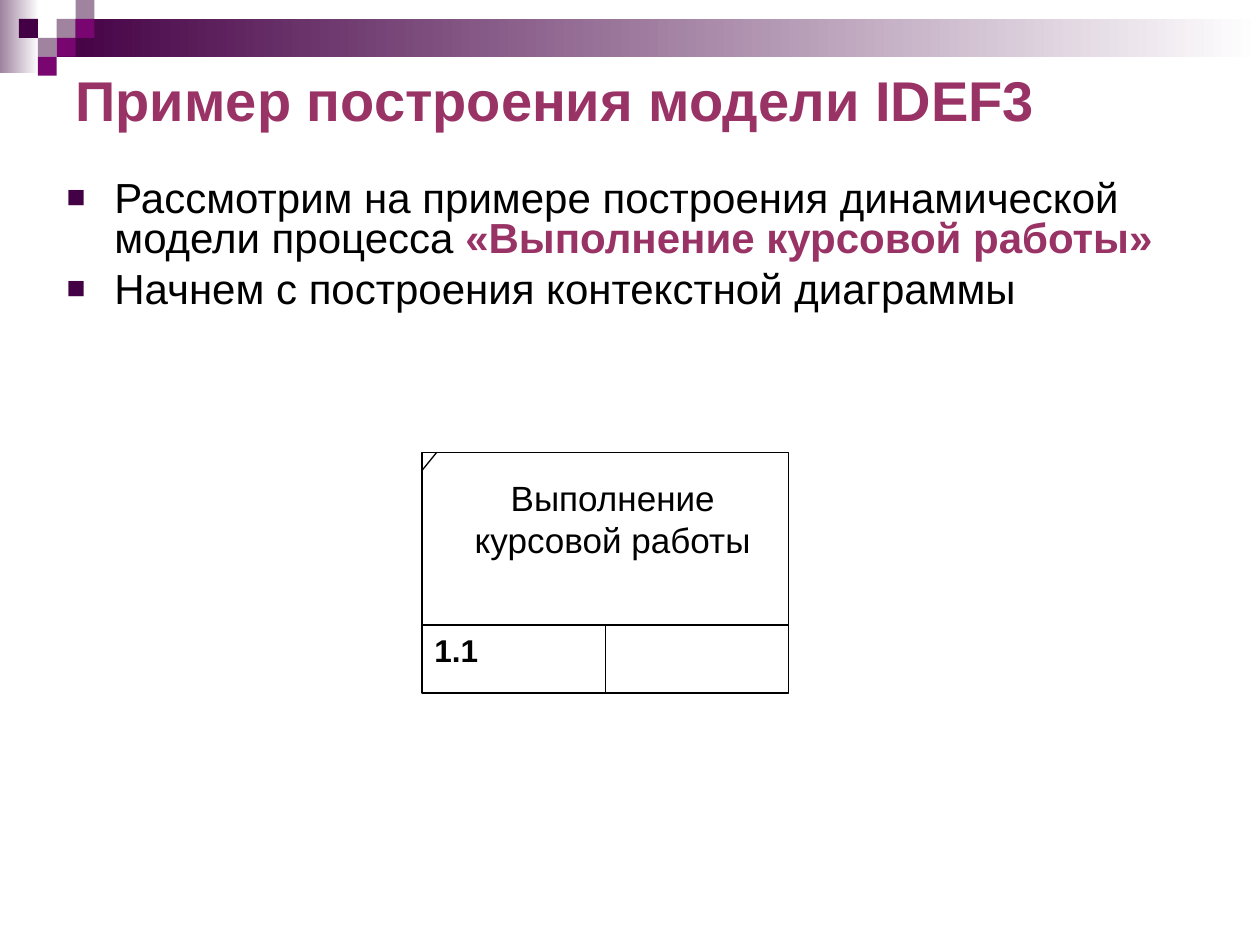
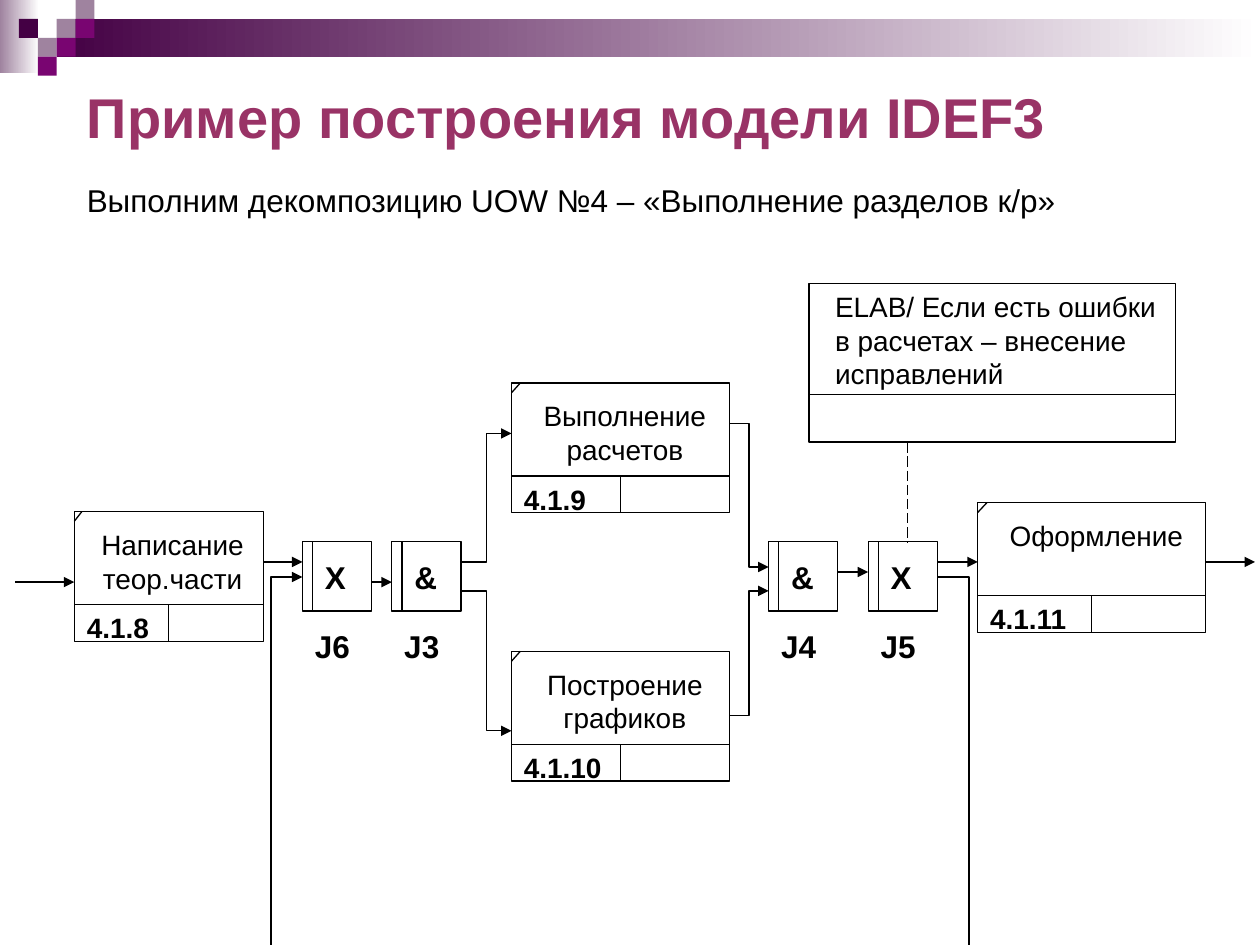
from dataclasses import dataclass
from typing import NamedTuple

from lxml import etree
from pptx import Presentation
from pptx import slide as sl
from pptx import util as u
from pptx.dml.color import RGBColor
from pptx.enum import dml, shapes, text
from pptx.oxml.ns import qn

COLUMNS, ROWS = 100, 75
WIDTH, HEIGHT = u.Inches(10), u.Inches(7.5)


@dataclass(frozen=True)
class Theme:
    font: str = "Arial"
    ink: str = "000000"
    accent: str = "993366"
    dark: str = "440044"
    bright: str = "790571"
    pale: str = "9F839F"
    paper: str = "FFFFFF"
    title: int = 32
    body: int = 24
    large: int = 20
    label: int = 18
    small: int = 16
    rule: float = 0.75


THEME = Theme()


class Point(NamedTuple):
    col: float
    row: float


class Area(NamedTuple):
    col: float
    row: float
    cols: float
    rows: float


class Span(NamedTuple):
    words: str
    size: int
    color: str = THEME.ink
    bold: bool = False


class Tile(NamedTuple):
    col: int
    row: int
    color: str


class Band(NamedTuple):
    area: Area
    color: str


class Work(NamedTuple):
    area: Area
    name: str
    lines: int
    number: str
    name_size: int = THEME.small
    number_size: int = THEME.small


class Junction(NamedTuple):
    col: float
    sign: str
    name: str


class Elbow(NamedTuple):
    start: Point
    end: Point
    bend: float = 0.5
    arrow: bool = True


TILE = 1.5
BANDS = [
    Band(Area(0, 0, 3.1, 5.8), THEME.pale),
    Band(Area(4.5, 1.5, 95.5, 3), THEME.dark),
]
TILES = [
    Tile(3, 1, THEME.pale), Tile(4, 0, THEME.pale), Tile(4, 1, THEME.bright),
    Tile(2, 2, THEME.pale), Tile(1, 1, THEME.dark), Tile(3, 2, THEME.bright),
    Tile(2, 3, THEME.bright),
]

TITLE = "Пример построения модели IDEF3"
CONTEXT = Work(Area(33.5, 35.9, 29.1, 19.1), "Выполнение курсовой работы", 2, "1.1",
               THEME.large, THEME.label)
INTRO = [
    [Span("Рассмотрим на примере построения динамической модели процесса ", THEME.body),
     Span("«Выполнение курсовой работы»", THEME.body, THEME.accent, True)],
    [Span("Начнем с построения контекстной диаграммы", THEME.body)],
]

WORK_ROWS = 10.3
WORKS = [
    Work(Area(5.9, 40.6, 15, WORK_ROWS), "Написание теор.части", 2, "4.1.8"),
    Work(Area(40.6, 30.4, 17.3, WORK_ROWS), "Выполнение расчетов", 2, "4.1.9"),
    Work(Area(40.6, 51.7, 17.3, WORK_ROWS), "Построение графиков", 2, "4.1.10"),
    Work(Area(77.6, 39.9, 18.1, WORK_ROWS), "Оформление", 1, "4.1.11"),
]
JUNCTION_ROW, JUNCTION_SIDE, JUNCTION_BAR = 43, 5.5, 0.8
JUNCTIONS = [
    Junction(31.1, "&", "J3"), Junction(61, "&", "J4"),
    Junction(68.9, "Х", "J5"), Junction(24, "Х", "J6"),
]
ARROWS = [
    (Point(1.2, 46.2), Point(5.9, 46.2)),
    (Point(95.7, 44.6), Point(99.6, 44.6)),
    (Point(20.9, 44.6), Point(24, 44.6)),
    (Point(29.5, 46.2), Point(31.1, 46.2)),
    (Point(66.5, 45.4), Point(68.9, 45.4)),
    (Point(74.4, 44.6), Point(77.6, 44.6)),
]
ELBOWS = [
    Elbow(Point(36.6, 44.6), Point(40.6, 34.4)),
    Elbow(Point(36.6, 46.9), Point(40.6, 58)),
    Elbow(Point(57.9, 33.6), Point(61, 45)),
    Elbow(Point(57.9, 56.8), Point(61, 46.9)),
    Elbow(Point(74.4, 45.8), Point(76.9, ROWS), 1, False),
    Elbow(Point(21.5, ROWS), Point(24, 45.8), 0),
]
REMARK = Area(64.2, 22.5, 29.1, 12.6)


def across(cols: float) -> u.Emu:
    return u.Emu(round(WIDTH * cols / COLUMNS))


def down(rows: float) -> u.Emu:
    return u.Emu(round(HEIGHT * rows / ROWS))


def frame(area: Area) -> tuple:
    return across(area.col), down(area.row), across(area.cols), down(area.rows)


def color(value: str) -> RGBColor:
    return RGBColor.from_string(value)


def add_span(para, span: Span) -> None:
    run = para.add_run()
    run.text = span.words
    run.font.name = THEME.font
    run.font.size = u.Pt(span.size)
    run.font.bold = span.bold
    run.font.color.rgb = color(span.color)


def add_box(page: sl.Slide, area: Area):
    box = page.shapes.add_textbox(*frame(area)).text_frame
    box.word_wrap = True
    return box


def add_label(page: sl.Slide, place: Point, cols: float, span: Span,
              lines: int = 1, centred: bool = False) -> None:
    rows = lines * span.size / 6 + 1
    para = add_box(page, Area(*place, cols, rows)).paragraphs[0]
    para.alignment = text.PP_ALIGN.CENTER if centred else text.PP_ALIGN.LEFT
    add_span(para, span)


def add_outline(page: sl.Slide, area: Area):
    outline = page.shapes.add_shape(shapes.MSO_SHAPE.RECTANGLE, *frame(area))
    outline.shadow.inherit = False
    outline.fill.background()
    outline.line.color.rgb = color(THEME.ink)
    outline.line.width = u.Pt(THEME.rule)
    return outline


def add_line(page: sl.Slide, start: Point, end: Point, arrow: bool = False,
             dashed: bool = False, kind=shapes.MSO_CONNECTOR.STRAIGHT):
    line = page.shapes.add_connector(kind, across(start.col), down(start.row),
                                     across(end.col), down(end.row))
    line.line.color.rgb = color(THEME.ink)
    line.line.width = u.Pt(THEME.rule)
    if dashed:
        line.line.dash_style = dml.MSO_LINE.LONG_DASH
    properties = line.element.spPr
    if arrow:
        etree.SubElement(properties.find(qn("a:ln")), qn("a:tailEnd"), type="triangle")
    etree.SubElement(properties, qn("a:effectLst"))
    return line


def add_elbow(page: sl.Slide, elbow: Elbow) -> None:
    line = add_line(page, elbow.start, elbow.end, elbow.arrow,
                    kind=shapes.MSO_CONNECTOR.ELBOW)
    geometry = line.element.spPr.find(qn("a:prstGeom"))
    values = geometry.find(qn("a:avLst"))
    if values is None:
        values = etree.SubElement(geometry, qn("a:avLst"))
    etree.SubElement(values, qn("a:gd"), name="adj1",
                     fmla=f"val {round(elbow.bend * 100000)}")


def add_work(page: sl.Slide, work: Work) -> None:
    col, row, cols, rows = work.area
    split, middle = row + 0.717 * rows, col + cols / 2
    corner = Point(col + 0.04 * cols, row + 0.075 * rows)
    outline = add_outline(page, work.area)
    add_line(page, Point(col, split), Point(col + cols, split))
    add_line(page, Point(middle, split), Point(middle, row + rows)).end_connect(outline, 2)
    add_line(page, Point(corner.col, row), Point(col, corner.row))
    add_label(page, Point(col, split), cols / 2,
              Span(work.number, work.number_size, bold=True))
    add_label(page, corner, 0.96 * cols, Span(work.name, work.name_size),
              work.lines, centred=True)


def add_junction(page: sl.Slide, junction: Junction) -> None:
    col, row, side = junction.col, JUNCTION_ROW, JUNCTION_SIDE
    bar = col + JUNCTION_BAR
    add_outline(page, Area(col, row, side, side))
    add_line(page, Point(bar, row), Point(bar, row + side))
    add_label(page, Point(bar, row + JUNCTION_BAR), 3.2,
              Span(junction.sign, THEME.label, bold=True))
    add_label(page, Point(col, row + side + JUNCTION_BAR), side,
              Span(junction.name, THEME.label, bold=True))


def add_remark(page: sl.Slide) -> None:
    col, row, cols, rows = REMARK
    split = row + 0.7 * rows
    add_outline(page, REMARK)
    add_line(page, Point(col, split), Point(col + cols, split))
    add_label(page, Point(col + 1.1, row), cols - 1.1,
              Span("ELAB/ Если есть ошибки в расчетах – внесение исправлений", THEME.small), 3)
    add_line(page, Point(72, row + rows), Point(72, JUNCTION_ROW), dashed=True)


def add_bullet(para) -> None:
    properties = para._p.get_or_add_pPr()
    indent = u.Inches(0.38)
    properties.set("marL", str(indent))
    properties.set("indent", str(-indent))
    tint = etree.SubElement(properties, qn("a:buClr"))
    etree.SubElement(tint, qn("a:srgbClr"), val=THEME.dark)
    etree.SubElement(properties, qn("a:buSzPct"), val="75000")
    etree.SubElement(properties, qn("a:buFont"), typeface=THEME.font)
    etree.SubElement(properties, qn("a:buChar"), char="■")


def decorate(layout: sl.SlideLayout, page: sl.Slide) -> None:
    tiles = [Band(Area(t.col * TILE, t.row * TILE, TILE, TILE), t.color) for t in TILES]
    for index, band in enumerate(BANDS + tiles):
        block = page.shapes.add_shape(shapes.MSO_SHAPE.RECTANGLE, *frame(band.area))
        block.shadow.inherit = False
        block.line.fill.background()
        if band in BANDS:
            block.fill.gradient()
            block.fill.gradient_angle = 0
            for stop, tint in zip(block.fill.gradient_stops, (band.color, THEME.paper)):
                stop.color.rgb = color(tint)
        else:
            block.fill.solid()
            block.fill.fore_color.rgb = color(band.color)
        block.element.xpath("./p:nvSpPr/p:cNvPr")[0].set("id", str(100 + index))
        layout.shapes.element.append(block.element)


def set_title(page: sl.Slide, area: Area) -> None:
    title = page.shapes.title
    title.left, title.top, title.width, title.height = frame(area)
    box = title.text_frame
    box.word_wrap = True
    box.vertical_anchor = text.MSO_ANCHOR.MIDDLE
    box.paragraphs[0].alignment = text.PP_ALIGN.LEFT
    add_span(box.paragraphs[0], Span(TITLE, THEME.title, THEME.accent, True))


def build_context(page: sl.Slide) -> None:
    set_title(page, Area(5, 5, 90, 5.7))
    box = add_box(page, Area(4.3, 13.9, 90, 12.6))
    for index, spans in enumerate(INTRO):
        para = box.add_paragraph() if index else box.paragraphs[0]
        para.line_spacing = 0.8
        para.space_before = u.Pt(6 if index else 0)
        add_bullet(para)
        for span in spans:
            add_span(para, span)
    add_work(page, CONTEXT)


def build_decomposition(page: sl.Slide) -> None:
    set_title(page, Area(5.9, 6, 90, 6.5))
    add_label(page, Point(5.9, 13.9), 89.8,
              Span("Выполним декомпозицию UOW №4 – «Выполнение разделов к/р»", THEME.label))
    for work in WORKS:
        add_work(page, work)
    for start, end in ARROWS:
        add_line(page, start, end, arrow=True)
    for elbow in ELBOWS:
        add_elbow(page, elbow)
    add_remark(page)
    for junction in JUNCTIONS:
        add_junction(page, junction)


def main() -> None:
    deck = Presentation()
    deck.slide_width, deck.slide_height = WIDTH, HEIGHT
    layout = deck.slide_layouts[5]
    context, decomposition = (deck.slides.add_slide(layout) for _ in range(2))
    decorate(layout, context)
    build_context(context)
    build_decomposition(decomposition)
    deck.save("out.pptx")


if __name__ == "__main__":
    main()
